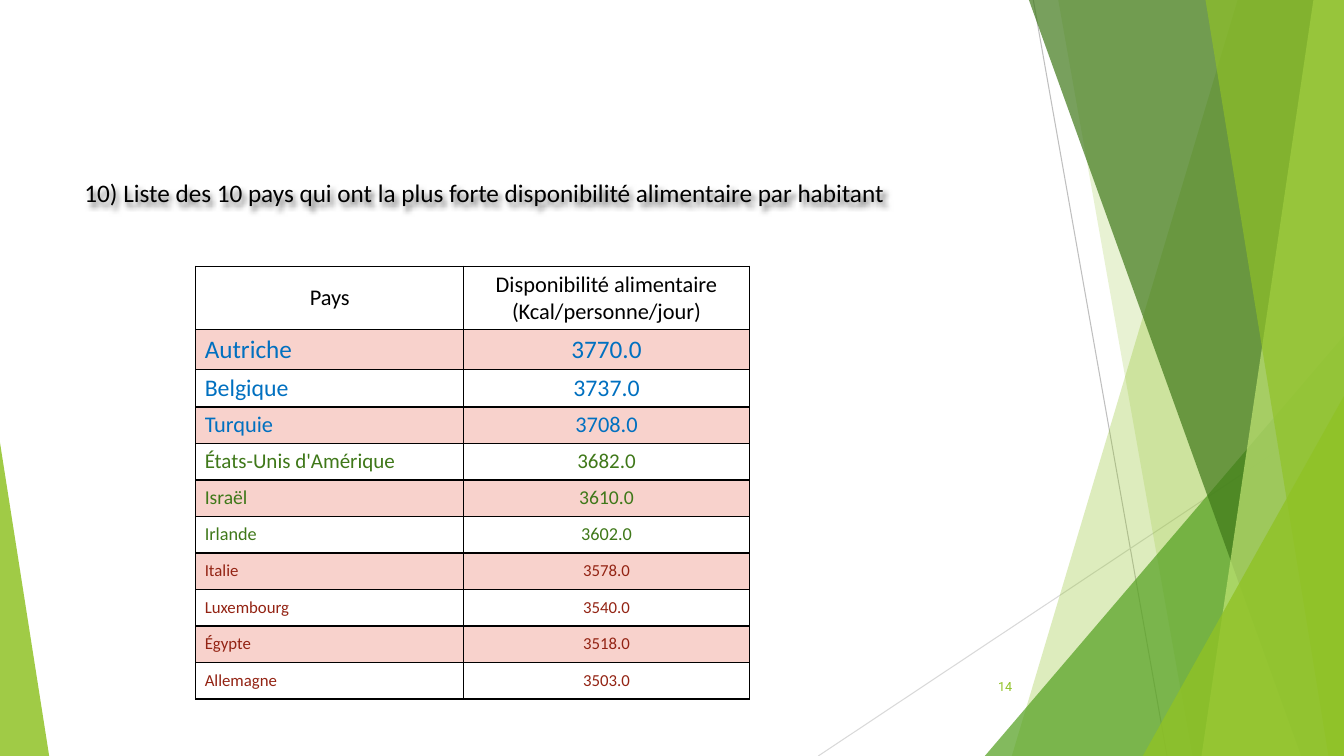
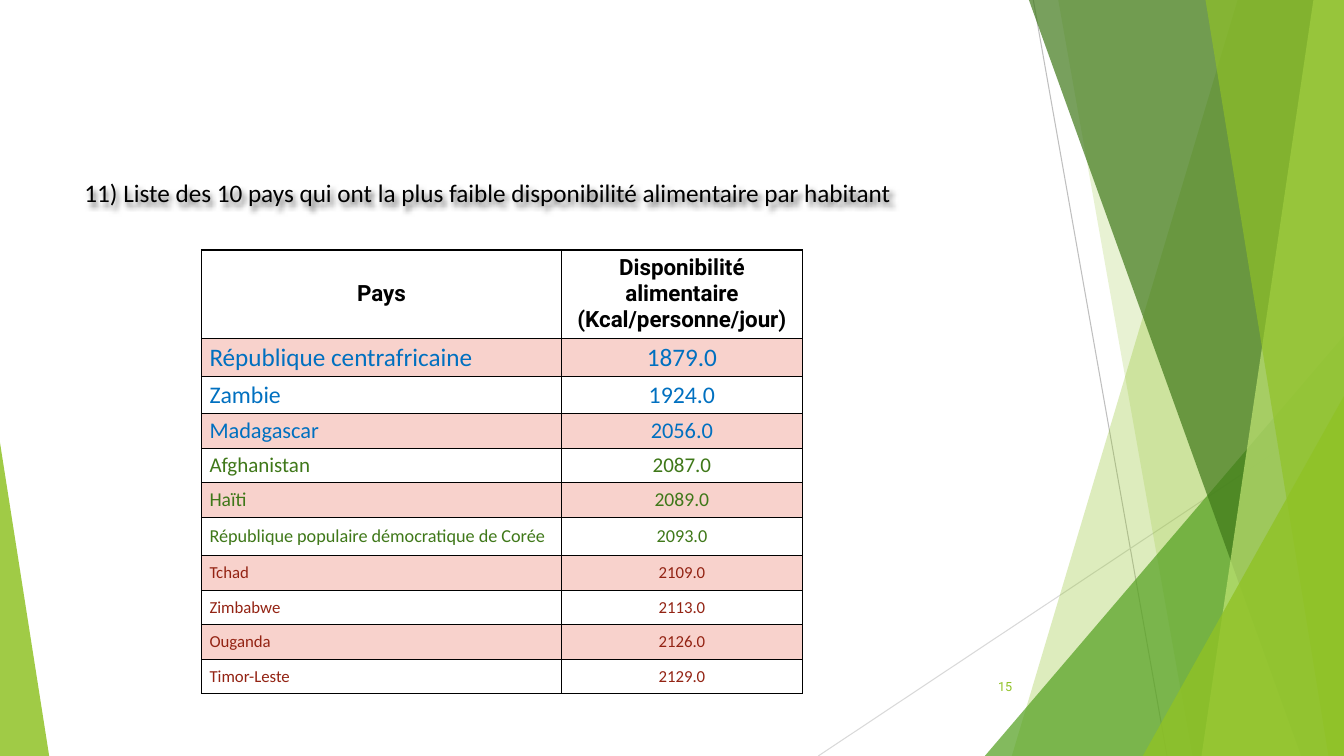
import pptx
import pptx.dml.color
import pptx.enum.shapes
import pptx.enum.text
import pptx.oxml
import pptx.oxml.ns
import pptx.util

Cm = pptx.util.Cm
Kind = pptx.enum.shapes.MSO_SHAPE
Join = pptx.enum.shapes.MSO_CONNECTOR
Align = pptx.enum.text.PP_ALIGN
Anchor = pptx.enum.text.MSO_ANCHOR
NS = pptx.oxml.ns.nsdecls("a")

WIDE, HIGH = 33.87, 19.05
INKS = {
    "black": "000000", "white": "FFFFFF", "pink": "F8D2CC",
    "blue": "0070C0", "red": "932313", "lime": "90C226",
    "leaf": "54A021", "moss": "3F7819", "pale": "C0E474",
    "gray": "BFBFBF", "mist": "D9D9D9",
}
RANKS = ["blue"] * 3 + ["moss"] * 3 + ["red"] * 4
HEADS = ("Pays", "Disponibilité alimentaire (Kcal/personne/jour)")


def tint(name):
    return pptx.dml.color.RGBColor.from_string(INKS[name])


def write(frame, text, size=12, font="Calibri", ink="black", bold=False,
          align=Align.LEFT):
    para = frame.paragraphs[0]
    para.alignment = align
    run = para.add_run()
    run.text = text
    run.font.size = pptx.util.Pt(size)
    run.font.name = font
    run.font.bold = bold
    run.font.color.rgb = tint(ink)


class Deck:
    """Holds the shared style and the current slide."""

    def __init__(self):
        self.prs = pptx.Presentation()
        self.prs.slide_width = Cm(WIDE)
        self.prs.slide_height = Cm(HIGH)

    def start(self, title, page):
        self.slide = self.prs.slides.add_slide(self.prs.slide_layouts[6])
        self.shapes = self.slide.shapes
        self.decor()
        self.title(title)
        self.label(23.85, 16.79, 1.91, 1.02, Anchor.MIDDLE, str(page),
                   size=9, font="Roboto", ink="lime", align=Align.RIGHT)

    def decor(self):
        self.line(26.04, 0, 29.41, HIGH, "gray")
        self.line(WIDE, 10.24, 20.62, HIGH, "mist")
        self.band(31.19, 25.5, "lime", 30)
        self.band(26.67, 30.05, "lime", 20)
        self.wedge(24.82, 8.46, WIDE, 1, "leaf", 72)
        self.band(25.93, 32.79, "moss", 70)
        self.band(33.1, 30.28, "pale", 70)
        self.band(30.38, 33.48, "lime", 65)
        self.wedge(28.8, 9.98, WIDE, 1, "lime", 80)
        self.wedge(0, 11.15, 1.24, 0, "lime", 85)

    def line(self, x1, y1, x2, y2, ink):
        line = self.shapes.add_connector(
            Join.STRAIGHT, Cm(x1), Cm(y1), Cm(x2), Cm(y2))
        line.line.color.rgb = tint(ink)
        line.line.width = pptx.util.Pt(0.75)
        line._element.spPr.append(
            pptx.oxml.parse_xml(f"<a:effectLst {NS}/>"))

    def paint(self, shape, ink, alpha):
        shape.shadow.inherit = False
        shape.line.fill.background()
        shape.fill.solid()
        shape.fill.fore_color.rgb = tint(ink)
        fill = shape._element.spPr.find(pptx.oxml.ns.qn("a:solidFill"))
        fill[0].append(pptx.oxml.parse_xml(
            f'<a:alpha {NS} val="{alpha * 1000}"/>'))

    def band(self, top, foot, ink, alpha):
        form = self.shapes.build_freeform(Cm(top), 0)
        form.add_line_segments([(Cm(WIDE), 0), (Cm(WIDE), Cm(HIGH)),
                                (Cm(foot), Cm(HIGH))], close=True)
        self.paint(form.convert_to_shape(), ink, alpha)

    def wedge(self, left, top, right, peak, ink, alpha):
        shape = self.shapes.add_shape(
            Kind.ISOSCELES_TRIANGLE, Cm(left), Cm(top),
            Cm(right - left), Cm(HIGH - top))
        shape.adjustments[0] = peak
        self.paint(shape, ink, alpha)

    def label(self, x, y, wide, high, anchor, text, **style):
        box = self.shapes.add_textbox(Cm(x), Cm(y), Cm(wide), Cm(high))
        box.text_frame.word_wrap = True
        box.text_frame.vertical_anchor = anchor
        write(box.text_frame, text, **style)
        return box

    def title(self, text):
        box = self.label(1.88, 1.7, 23.88, 3.66, Anchor.BOTTOM, text, size=18)
        box._element.spPr.append(pptx.oxml.parse_xml(
            f'<a:effectLst {NS}><a:outerShdw blurRad="50800" dist="38100" '
            'dir="2700000" algn="tl" rotWithShape="0"><a:srgbClr '
            f'val="{INKS["black"]}"><a:alpha val="60000"/></a:srgbClr>'
            '</a:outerShdw></a:effectLst>'))

    def cell(self, cell, text, fill, pad, **style):
        cell.margin_left = cell.margin_right = Cm(pad)
        cell.margin_top = cell.margin_bottom = Cm(pad / 2)
        cell.vertical_anchor = Anchor.MIDDLE
        cell.fill.solid()
        cell.fill.fore_color.rgb = tint(fill)
        props = cell._tc.get_or_add_tcPr()
        for spot, side in enumerate("LRTB"):
            props.insert(spot, pptx.oxml.parse_xml(
                f'<a:ln{side} {NS} w="12700"><a:solidFill><a:srgbClr '
                f'val="{INKS["black"]}"/></a:solidFill></a:ln{side}>'))
        write(cell.text_frame, text, **style)

    def table(self, x, y, cols, rows, data, pad, **head):
        grid = self.shapes.add_table(
            len(rows), len(cols), Cm(x), Cm(y),
            Cm(sum(cols)), Cm(sum(rows))).table
        grid.first_row = grid.horz_banding = False
        for col, wide in zip(grid.columns, cols):
            col.width = Cm(wide)
        for row, high in zip(grid.rows, rows):
            row.height = Cm(high)
        for col, text in enumerate(HEADS):
            self.cell(grid.cell(0, col), text, "white", pad,
                      size=16, align=Align.CENTER, **head)
        for rank, (land, value) in enumerate(data):
            fill = "white" if rank % 2 else "pink"
            style = {"size": max(18 - rank, 12), "ink": RANKS[rank]}
            self.cell(grid.cell(rank + 1, 0), land, fill, pad, **style)
            self.cell(grid.cell(rank + 1, 1), f"{value:.1f}", fill, pad,
                      align=Align.CENTER, **style)


MOST = [
    ("Autriche", 3770), ("Belgique", 3737), ("Turquie", 3708),
    ("États-Unis d'Amérique", 3682), ("Israël", 3610), ("Irlande", 3602),
    ("Italie", 3578), ("Luxembourg", 3540), ("Égypte", 3518),
    ("Allemagne", 3503),
]
LEAST = [
    ("République centrafricaine", 1879), ("Zambie", 1924),
    ("Madagascar", 2056), ("Afghanistan", 2087), ("Haïti", 2089),
    ("République populaire démocratique de Corée", 2093), ("Tchad", 2109),
    ("Zimbabwe", 2113), ("Ouganda", 2126), ("Timor-Leste", 2129),
]


def main():
    deck = Deck()
    deck.start("10) Liste des 10 pays qui ont la plus forte disponibilité "
               "alimentaire par habitant", 14)
    deck.table(4.93, 6.71, [6.76, 7.19], [1.6] + [0.92] * 10, MOST, 0.23)
    deck.start("11) Liste des 10 pays qui ont la plus faible disponibilité "
               "alimentaire par habitant", 15)
    deck.table(5.08, 6.3, [9.07, 6.07],
               [1.5] + [0.87] * 5 + [0.97] + [0.87] * 4, LEAST, 0.2,
               font="Roboto", bold=True)
    deck.prs.save("out.pptx")


if __name__ == "__main__":
    main()
